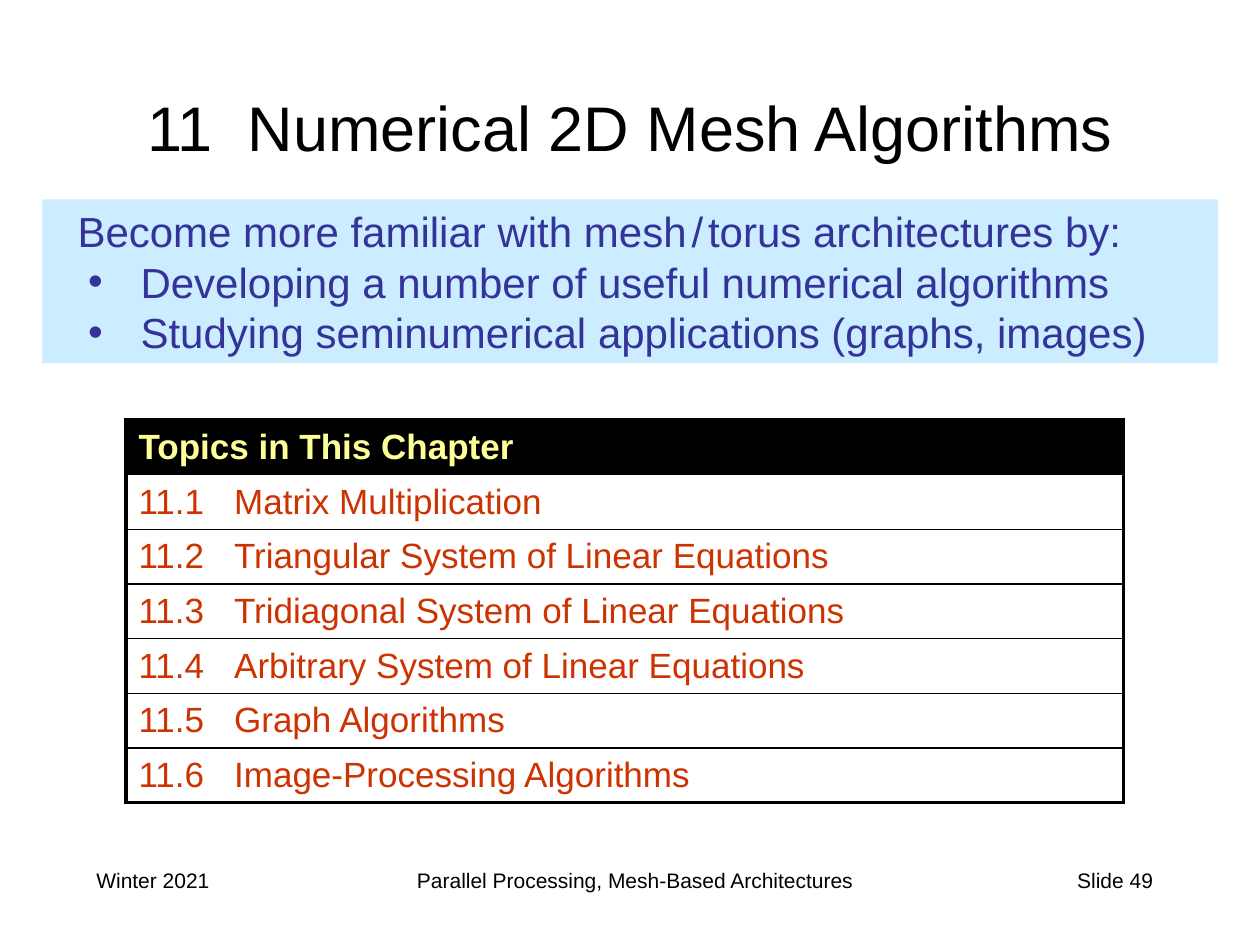
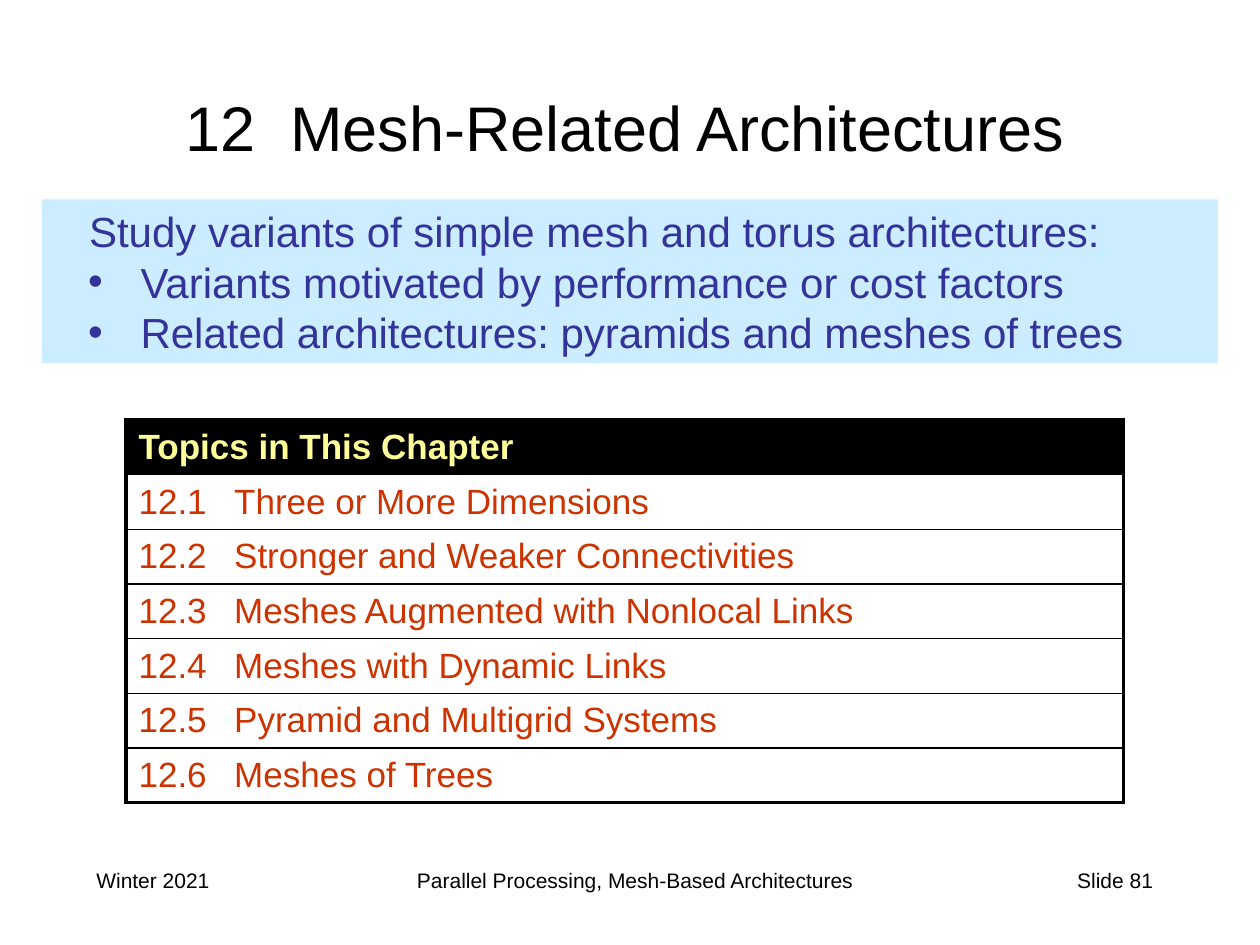
from pptx import Presentation
from pptx.dml.color import RGBColor
from pptx.enum.shapes import MSO_SHAPE
from pptx.enum.text import MSO_ANCHOR, PP_ALIGN
from pptx.oxml.ns import qn
from pptx.util import Pt
from lxml.etree import SubElement

SCALE = 7620
COLORS = {
    "black": "000000",
    "band": "CCECFF",
    "navy": "333399",
    "cream": "FFFF99",
    "rust": "CC3300",
}
LEFT, MID, RIGHT = PP_ALIGN.LEFT, PP_ALIGN.CENTER, PP_ALIGN.RIGHT
SEASON = "Winter 2021"
COURSE = "Parallel Processing, Mesh-Based Architectures"
HEADER = "Topics in This Chapter"
ROW = 52

CHAPTERS = [
    {
        "title": "11  Numerical 2D Mesh Algorithms",
        "span": (20, 1160),
        "lead": [("Become more familiar with mesh", 24), (" ", 10), ("/", 24),
                 (" ", 10), ("torus architectures by:", 24)],
        "inset": 22,
        "goals": ["Developing a number of useful numerical algorithms",
                  "Studying seminumerical applications (graphs, images)"],
        "chapter": 11,
        "topics": ["Matrix Multiplication",
                   "Triangular System of Linear Equations",
                   "Tridiagonal System of Linear Equations",
                   "Arbitrary System of Linear Equations",
                   "Graph Algorithms",
                   "Image-Processing Algorithms"],
        "page": 49,
    },
    {
        "title": "12  Mesh-Related Architectures",
        "span": (40, 1110),
        "lead": "Study variants of simple mesh and torus architectures:",
        "inset": 33,
        "goals": ["Variants motivated by performance or cost factors",
                  "Related architectures: pyramids and meshes of trees"],
        "chapter": 12,
        "topics": ["Three or More Dimensions",
                   "Stronger and Weaker Connectivities",
                   "Meshes Augmented with Nonlocal Links",
                   "Meshes with Dynamic Links",
                   "Pyramid and Multigrid Systems",
                   "Meshes of Trees"],
        "page": 81,
    },
]


def px(*sizes):
    """Turn px lengths into a list of EMU."""
    return [size * SCALE for size in sizes]


def color(name):
    """Look up a named colour."""
    return RGBColor.from_string(COLORS[name])


def write(para, text, size=12, hue="black", font="Arial", bold=False,
          align=LEFT, margin=0, indent=0, bullet=None, pitch=None):
    """Fill a paragraph with a string or a list of (string, size) pieces."""
    props = para._p.get_or_add_pPr()
    props.set("marL", str(margin * SCALE))
    props.set("indent", str(indent * SCALE))
    if bullet:
        SubElement(props, qn("a:buFont"), typeface=font)
        SubElement(props, qn("a:buChar"), char=bullet)
    para.alignment = align
    if pitch:
        para.line_spacing = Pt(pitch)
    pieces = [(text, size)] if isinstance(text, str) else text
    for words, points in pieces:
        run = para.add_run()
        run.text = words
        run.font.name = font
        run.font.size = Pt(points)
        run.font.bold = bold
        run.font.color.rgb = color(hue)


def label(slide, text, left, top, width, height, anchor=MSO_ANCHOR.TOP,
          **style):
    """Place a text box with one paragraph."""
    frame = slide.shapes.add_textbox(*px(left, top, width, height)).text_frame
    frame.word_wrap = True
    frame.vertical_anchor = anchor
    write(frame.paragraphs[0], text, **style)


def footer(slide, page):
    """Add the three footer texts."""
    label(slide, SEASON, 80, 820, 250, 60)
    label(slide, COURSE, 290, 820, 630, 60, align=MID)
    label(slide, f"Slide {page}", 860, 820, 250, 60, align=RIGHT)


def band(slide, lead, inset, goals):
    """Draw the tinted band with a lead line and bulleted goals."""
    box = slide.shapes.add_shape(MSO_SHAPE.RECTANGLE, *px(40, 190, 1120, 156))
    box.shadow.inherit = False
    box.fill.solid()
    box.fill.fore_color.rgb = color("band")
    box.line.fill.background()
    frame = box.text_frame
    frame.word_wrap = True
    frame.vertical_anchor = MSO_ANCHOR.TOP
    style = {"size": 24, "hue": "navy", "pitch": 28.8}
    write(frame.paragraphs[0], lead, margin=inset, **style)
    for goal in goals:
        write(frame.add_paragraph(), goal, margin=82, indent=-50, bullet="•",
              **style)


def border(cell, side, points):
    """Rule one side of a cell in black."""
    props = cell._tc.get_or_add_tcPr()
    line = SubElement(props, qn(f"a:ln{side}"), w=str(Pt(points)))
    fill = SubElement(line, qn("a:solidFill"))
    SubElement(fill, qn("a:srgbClr"), val=COLORS["black"])


def topics(slide, chapter, names):
    """Build the one-column table of numbered topics."""
    lines = [HEADER] + [f"{chapter}.{n}\t{name}"
                        for n, name in enumerate(names, 1)]
    count = len(lines)
    table = slide.shapes.add_table(
        count, 1, *px(120, 400, 950, ROW * count)).table
    table.horz_banding = False
    table.first_row = False
    for at, text in enumerate(lines):
        head = at == 0
        cell = table.cell(at, 0)
        cell.vertical_anchor = MSO_ANCHOR.MIDDLE
        write(cell.text_frame.paragraphs[0], text, size=20, bold=head,
              hue="cream" if head else "rust", margin=91, indent=-91)
        border(cell, "L", 2.25)
        border(cell, "R", 2.25)
        border(cell, "T", 2.25 if head else 1)
        border(cell, "B", 2.25 if at == count - 1 else 1)
        if head:
            cell.fill.solid()
            cell.fill.fore_color.rgb = color("black")
        else:
            cell.fill.background()


def main():
    """Build one slide per chapter and save the deck."""
    deck = Presentation()
    deck.slide_width, deck.slide_height = px(1200, 900)
    for part in CHAPTERS:
        slide = deck.slides.add_slide(deck.slide_layouts[6])
        footer(slide, part["page"])
        left, width = part["span"]
        label(slide, part["title"], left, 60, width, 120, size=36, align=MID,
              anchor=MSO_ANCHOR.MIDDLE)
        band(slide, part["lead"], part["inset"], part["goals"])
        topics(slide, part["chapter"], part["topics"])
    deck.save("out.pptx")


if __name__ == "__main__":
    main()
